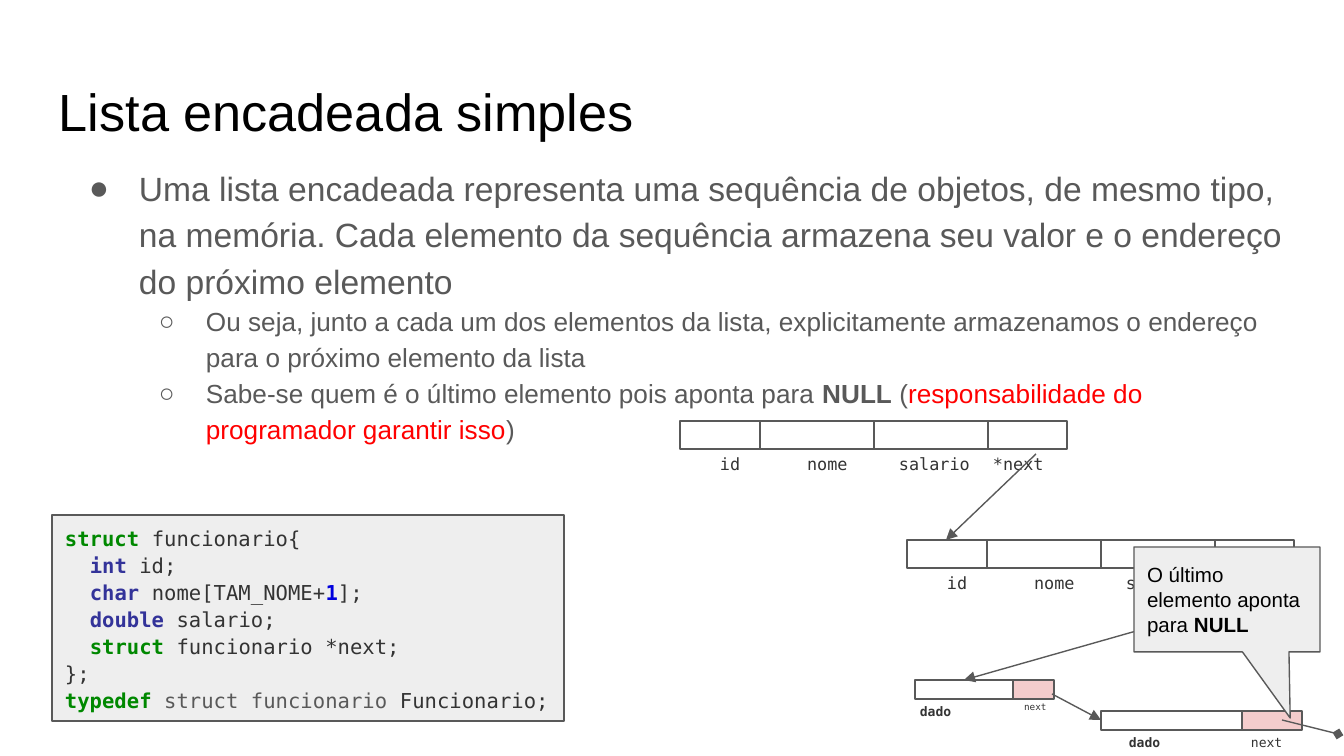
from lxml.etree import SubElement
from pptx import Presentation
from pptx.dml.color import RGBColor
from pptx.enum.shapes import MSO_CONNECTOR, MSO_SHAPE
from pptx.enum.text import MSO_ANCHOR, PP_ALIGN
from pptx.oxml.ns import qn
from pptx.util import Emu, Pt

COLORS = {
    "black": "000000", "gray": "595959", "red": "FF0000", "panel": "EEEEEE",
    "pink": "F4CCCC", "code": "333333", "keyword": "008800",
    "type": "333399", "number": "0000DD",
}
SANS, MONO = "Arial", "DejaVu Sans Mono"

# Content: each run is (text, color, bold)
TITLE = [("Lista encadeada simples", "black", False)]
BULLETS = [  # level, runs
    (0, [("Uma lista encadeada representa uma sequência de objetos, de mesmo tipo, "
          "na memória. Cada elemento da sequência armazena seu valor e o endereço "
          "do próximo elemento", "gray", False)]),
    (1, [("Ou seja, junto a cada um dos elementos da lista, explicitamente "
          "armazenamos o endereço para o próximo elemento da lista", "gray", False)]),
    (1, [("Sabe-se quem é o último elemento pois aponta para ", "gray", False),
         ("NULL", "gray", True), (" (", "gray", False),
         ("responsabilidade do programador garantir isso", "red", False),
         (")", "gray", False)]),
]
LEVELS = [("●", 18, 67, 50), ("○", 14, 134, 47)]  # bullet, size, margin, hanging
CODE = [
    [("struct", "keyword", True), (" funcionario{", "code", False)],
    [("  ", "code", False), ("int", "type", True), (" id;", "code", False)],
    [("  ", "code", False), ("char", "type", True), (" nome[TAM_NOME+", "code", False),
     ("1", "number", True), ("];", "code", False)],
    [("  ", "code", False), ("double", "type", True), (" salario;", "code", False)],
    [("  ", "code", False), ("struct", "keyword", True),
     (" funcionario *next;", "code", False)],
    [("};", "code", False)],
    [("typedef ", "keyword", True), ("struct funcionario ", "gray", False),
     ("Funcionario;", "code", False)],
]
CALLOUT = [("O último elemento aponta para ", "black", False), ("NULL", "black", True)]

# Records: label, cell width, label offset and width
FIELDS = [("id", 80, 27, 48), ("nome", 114, 114, 74),
          ("salario", 114, 206, 102), ("*next", 79, 300, 113)]
RECORDS = [(680, 421), (907, 540)]
# Nodes: left, top, then (label, cell width, fill, label offset, label width, size, bold)
NODES = [
    (915, 680, [("dado", 98, None, -8, 91, 7, True),
                ("next", 41, "pink", 96, 52, 5, False)]),
    (1101, 711, [("dado", 141, None, 15, 105, 7, True),
                 ("next", 60, "pink", 137, 73, 7, False)]),
]
ARROWS = [((1036, 454), (946, 540), "triangle"), ((1052, 694), (1101, 720), "triangle"),
          ((1282, 720), (1338, 734), "diamond"), ((1263, 595), (964, 680), "triangle")]


def px(value):
    return Emu(round(value * 914400 / 134.4))


def color(name):
    return RGBColor.from_string(COLORS[name])


def add_runs(paragraph, runs, font, size):
    paragraph.alignment = PP_ALIGN.LEFT
    for text, tint, bold in runs:
        run = paragraph.add_run()
        run.text = text
        run.font.name, run.font.size, run.font.bold = font, Pt(size), bold
        run.font.color.rgb = color(tint)


def fill_text(shape, lines, font, size, spacing=1.0, anchor=MSO_ANCHOR.TOP):
    frame = shape.text_frame
    frame.word_wrap = True
    frame.vertical_anchor = anchor
    frame.margin_left = frame.margin_right = px(13)
    frame.margin_top = frame.margin_bottom = px(13)
    for index, runs in enumerate(lines):
        paragraph = frame.add_paragraph() if index else frame.paragraphs[0]
        paragraph.line_spacing = spacing
        add_runs(paragraph, runs, font, size)


def add_text(shapes, box, lines, font, size):
    fill_text(shapes.add_textbox(*map(px, box)), lines, font, size)


def add_box(shapes, box, fill=None, kind=MSO_SHAPE.RECTANGLE):
    shape = shapes.add_shape(kind, *map(px, box))
    shape.shadow.inherit = False
    if fill:
        shape.fill.solid()
        shape.fill.fore_color.rgb = color(fill)
    else:
        shape.fill.background()
    shape.line.color.rgb = color("gray")
    shape.line.width = Pt(0.75)
    return shape


def add_bullets(slide):
    shape = slide.shapes.add_textbox(*map(px, (59, 149, 1253, 503)))
    fill_text(shape, [], SANS, 18)
    frame = shape.text_frame
    for index, (level, runs) in enumerate(BULLETS):
        bullet, size, margin, hanging = LEVELS[level]
        paragraph = frame.add_paragraph() if index else frame.paragraphs[0]
        paragraph.level, paragraph.line_spacing = level, 1.15
        add_runs(paragraph, runs, SANS, size)
        properties = paragraph._p.get_or_add_pPr()
        properties.set("marL", str(px(margin)))
        properties.set("indent", str(-px(hanging)))
        tint = SubElement(properties, qn("a:buClr"))
        SubElement(tint, qn("a:srgbClr"), val=COLORS["gray"])
        SubElement(properties, qn("a:buFont"), typeface=SANS)
        SubElement(properties, qn("a:buChar"), char=bullet)


def add_arrow(slide, start, end, head):
    arrow = slide.shapes.add_connector(MSO_CONNECTOR.STRAIGHT, *map(px, start + end))
    arrow.line.color.rgb = color("gray")
    arrow.line.width = Pt(0.75)
    SubElement(arrow.line._get_or_add_ln(), qn("a:tailEnd"), type=head)
    SubElement(arrow._element.spPr, qn("a:effectLst"))


def add_cells(slide, left, top, height, label_top, label_height, cells):
    shapes = slide.shapes.add_group_shape().shapes
    cell_left = left
    for label, width, fill, offset, label_width, size, bold in cells:
        add_box(shapes, (cell_left, top, width, height), fill)
        add_text(shapes, (left + offset, top + label_top, label_width, label_height),
                 [[(label, "code", bold)]], MONO, size)
        cell_left += width


def main():
    presentation = Presentation()
    presentation.slide_width, presentation.slide_height = px(1344), px(756)
    slide = presentation.slides.add_slide(presentation.slide_layouts[6])

    # Title, bullets and code
    add_text(slide.shapes, (46, 66, 1253, 85), [TITLE], SANS, 28)
    add_bullets(slide)
    panel = add_box(slide.shapes, (52, 515, 512, 206), "panel")
    fill_text(panel, CODE, MONO, 11, 1.1, MSO_ANCHOR.MIDDLE)

    # Linked records and nodes
    record_cells = [(label, width, None, offset, label_width, 9, False)
                    for label, width, offset, label_width in FIELDS]
    for left, top in RECORDS:
        add_cells(slide, left, top, 28, 23, 32, record_cells)
    for left, top, cells in NODES:
        add_cells(slide, left, top, 19, 16, 22, cells)
    for start, end, head in ARROWS:
        add_arrow(slide, start, end, head)

    # Callout on the last node
    callout = add_box(slide.shapes, (1134, 547, 186, 105), "panel",
                      MSO_SHAPE.ROUNDED_RECTANGULAR_CALLOUT)
    for index, value in enumerate((0.34, 1.13, 0)):
        callout.adjustments[index] = value
    fill_text(callout, [CALLOUT], SANS, 11, anchor=MSO_ANCHOR.MIDDLE)

    presentation.save("out.pptx")


if __name__ == "__main__":
    main()
